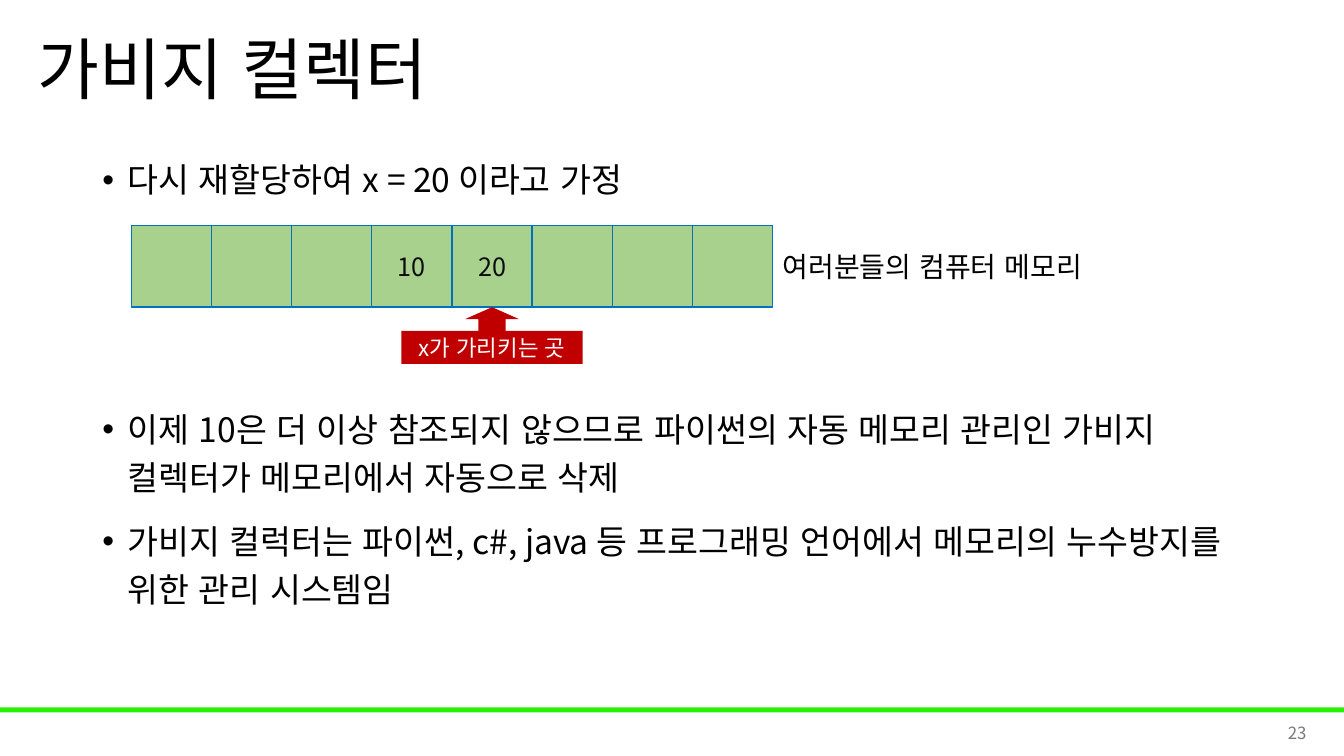
import pptx
import pptx.util
import pptx.oxml
import pptx.oxml.ns
import pptx.dml.color
import pptx.enum.text
import pptx.enum.lang
import pptx.enum.shapes

Pt = pptx.util.Pt
Kind = pptx.enum.shapes.MSO_SHAPE
Side = pptx.enum.text.PP_ALIGN
Mid = pptx.enum.text.MSO_ANCHOR.MIDDLE
Top = pptx.enum.text.MSO_ANCHOR.TOP
NoFit = pptx.enum.text.MSO_AUTO_SIZE.NONE

title = "가비지 컬렉터"
points = [
    ("다시 재할당하여 x = 20 이라고 가정", 0),
    ("이제 10은 더 이상 참조되지 않으므로 파이썬의 자동 메모리 관리인 가비지 컬렉터가 메모리에서 자동으로 삭제", 143.5),
    ("가비지 컬럭터는 파이썬, c#, java 등 프로그래밍 언어에서 메모리의 누수방지를 위한 관리 시스템임", 11),
]
cells = ["", "", "", "10", "20", "", "", ""]
target = cells.index("20")
label = "여러분들의 컴퓨터 메모리"
pointer = "x가 가리키는 곳"
number = "23"

theme = {
    "font": "Noto Sans CJK KR",
    "text": "000000", "cell": "A9D18E", "edge": "0070C0", "value": "0D0D0D",
    "mark": "C00000", "light": "FFFFFF", "rule": "2AEF06", "page": "797979",
    "head": 48, "body": 24, "side": 20, "item": 18, "note": 16, "foot": 12,
}


def color(name):
    return pptx.dml.color.RGBColor.from_string(theme[name])


def apply(thing, values):
    for key, value in values.items():
        setattr(thing, key, value)


def place(shape, box):
    apply(shape, dict(zip(("left", "top", "width", "height"), map(Pt, box))))


def write(par, text, size, ink, align=Side.LEFT):
    par.alignment = align
    run = par.add_run()
    run.text = text
    apply(run.font, {
        "name": theme["font"],
        "size": Pt(theme[size]),
        "language_id": pptx.enum.lang.MSO_LANGUAGE_ID.KOREAN,
    })
    run.font.color.rgb = color(ink)
    east = pptx.oxml.parse_xml(
        f'<a:ea {pptx.oxml.ns.nsdecls("a")} typeface="{theme["font"]}"/>')
    run._r.rPr.find(pptx.oxml.ns.qn("a:latin")).addnext(east)


def bullet(par):
    props = par._p.get_or_add_pPr()
    props.set("marL", str(Pt(18)))
    props.set("indent", str(Pt(-18)))
    for tag in ('buFont typeface="Arial"', 'buChar char="•"'):
        props.append(pptx.oxml.parse_xml(
            f'<a:{tag} {pptx.oxml.ns.nsdecls("a")}/>'))


def block(kind, box, fill, edge=None):
    shape = slide.shapes.add_shape(kind, *map(Pt, box))
    shape.shadow.inherit = False
    shape.fill.solid()
    shape.fill.fore_color.rgb = color(fill)
    if edge:
        shape.line.color.rgb = color(edge)
        shape.line.width = Pt(1)
    else:
        shape.line.fill.background()
    return shape


def center(shape, text, size, ink):
    frame = shape.text_frame
    apply(frame, {"vertical_anchor": Mid, "word_wrap": False})
    write(frame.paragraphs[0], text, size, ink, Side.CENTER)


def note(box, text, size, ink, align, wrap):
    frame = slide.shapes.add_textbox(*map(Pt, box)).text_frame
    apply(frame, {"word_wrap": wrap, "vertical_anchor": Mid})
    write(frame.paragraphs[0], text, size, ink, align)


deck = pptx.Presentation()
apply(deck, {"slide_width": Pt(960), "slide_height": Pt(540)})
slide = deck.slides.add_slide(deck.slide_layouts[1])

block(Kind.RECTANGLE, (0, 505.2, 960, 3.6), "rule")

head, body = slide.placeholders
place(head, (19.8, 0, 828, 104.4))
apply(head.text_frame, {
    "word_wrap": True, "auto_size": NoFit, "vertical_anchor": Mid})
par = head.text_frame.paragraphs[0]
par.line_spacing = 0.9
write(par, title, "head", "text")

place(body, (66, 104.4, 828, 382.3))
apply(body.text_frame, {
    "word_wrap": True, "auto_size": NoFit, "vertical_anchor": Top})
for index, (text, gap) in enumerate(points):
    frame = body.text_frame
    par = frame.add_paragraph() if index else frame.paragraphs[0]
    bullet(par)
    apply(par, {"line_spacing": 1.2, "space_before": Pt(gap)})
    write(par, text, "body", "text")

left, top, wide, high = 93.8, 161.2, 57.26, 58.2
for index, text in enumerate(cells):
    cell = block(Kind.RECTANGLE, (left + index * wide, top, wide, high),
                 "cell", "edge")
    if text:
        center(cell, text, "item", "value")

axis = left + (target + 0.5) * wide
base = top + high
block(Kind.UP_ARROW, (axis - 19.4, base, 38.8, 17.2), "mark")
note((left + len(cells) * wide, base - 45, 240, 31.5),
     label, "side", "text", Side.LEFT, False)
tag = block(Kind.RECTANGLE, (axis - 64.8, base + 17, 129.6, 23.6), "mark")
center(tag, pointer, "note", "light")
note((724.3, 509, 216, 28.8), number, "foot", "page", Side.RIGHT, True)

deck.save("out.pptx")
